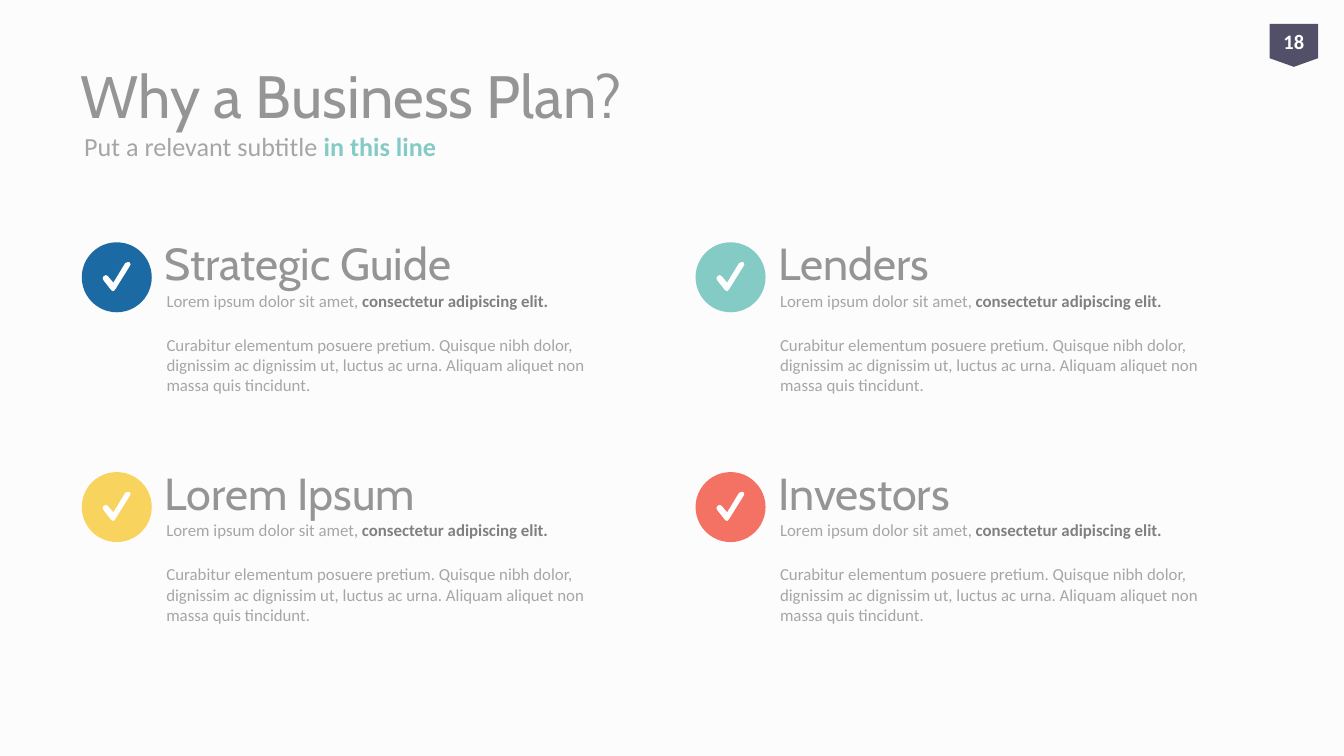
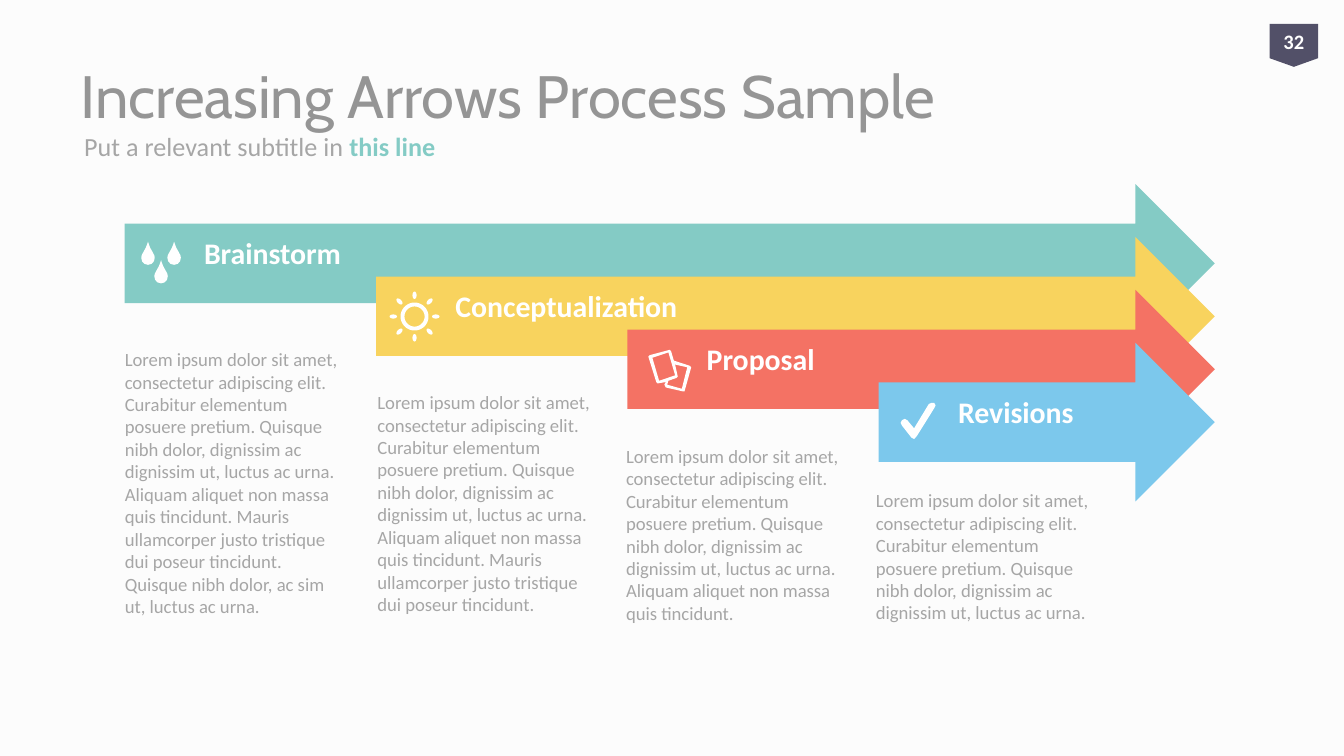
"""Build two slides: a business plan checklist and an increasing arrows process."""
from itertools import product
from math import cos, pi, sin

from lxml import etree
from pptx import Presentation
from pptx import util as u
from pptx.dml.color import RGBColor
from pptx.enum import shapes, text
from pptx.oxml import ns

theme = {
    "paper": "FCFCFC", "badge": "525068", "white": "FFFFFF", "navy": "1B6AA3",
    "teal": "84CBC5", "yellow": "F8D35E", "coral": "F47264", "sky": "7CC8EC",
    "title": ("959595", {"name": "Cabin", "size": u.Pt(32), "bold": False}),
    "heading": ("959595", {"name": "Cabin", "size": u.Pt(24), "bold": False}),
    "subtitle": ("A6A6A6", {"name": "Calibri", "size": u.Pt(14), "bold": False}),
    "accent": ("84CBC5", {"name": "Calibri", "size": u.Pt(14), "bold": True}),
    "body": ("A6A6A6", {"name": "Calibri", "size": u.Pt(9), "bold": False}),
    "strong": ("808080", {"name": "Calibri", "size": u.Pt(9), "bold": True}),
    "note": ("A6A6A6", {"name": "Calibri", "size": u.Pt(10), "bold": False}),
    "label": ("FFFFFF", {"name": "Calibri", "size": u.Pt(16), "bold": True}),
    "number": ("FFFFFF", {"name": "Calibri", "size": u.Pt(11), "bold": True}),
}
middle = {"vertical_anchor": text.MSO_ANCHOR.MIDDLE}


def write(box, paragraphs, frame_format={}, para_format={}):
    """Fill a box with paragraphs, each a list of (text, style name) pairs."""
    frame = box.text_frame
    settings = {"word_wrap": True, "auto_size": text.MSO_AUTO_SIZE.NONE, **frame_format}
    for key, value in settings.items():
        setattr(frame, key, value)
    for index, spans in enumerate(paragraphs):
        para = frame.add_paragraph() if index else frame.paragraphs[0]
        settings = {"alignment": text.PP_ALIGN.LEFT,
                    "space_before": u.Pt(12.7 if index else 0), **para_format}
        for key, value in settings.items():
            setattr(para, key, value)
        for words, style in spans:
            span = para.add_run()
            span.text = words
            color, font_format = theme[style]
            for key, value in font_format.items():
                setattr(span.font, key, value)
            span.font.color.rgb = RGBColor.from_string(color)


def add_form(page, form, color, left, top, width=0, height=0, size=1):
    """Add a flat preset shape, or an icon given as a list of contours in points."""
    if isinstance(form, list):
        contours = [[(x * 100, y * 100) for x, y in contour] for contour in form]
        builder = page.shapes.build_freeform(*contours[0][0], scale=u.Pt(1) * size / 100)
        for index, contour in enumerate(contours):
            if index:
                builder.move_to(*contour[0])
            builder.add_line_segments(contour[1:], close=True)
        shape = builder.convert_to_shape(u.Pt(left), u.Pt(top))
    else:
        shape = page.shapes.add_shape(form, u.Pt(left), u.Pt(top), u.Pt(width), u.Pt(height))
    shape.shadow.inherit = False
    shape.fill.solid()
    shape.fill.fore_color.rgb = RGBColor.from_string(theme[color])
    shape.line.fill.background()
    return shape


check = [[(7.2, 19.4), (5.8, 18.7), (0.7, 12.2), (0, 10.8), (0.7, 9.4), (2.2, 8.6), (3.6, 9.4),
          (7.2, 13.7), (15.1, 0.7), (16.6, 0), (18, 0), (18.7, 1.4), (18, 2.9), (8.6, 18)]]
drop_side = [(0, 0), (0.5, 1.5), (1.2, 3.3), (2.6, 5.8), (3.4, 7.3), (3.6, 8.6),
             (3.2, 10.5), (1.9, 11.9), (0, 12.4)]
drop = drop_side + [(-x, y) for x, y in drop_side[-2:0:-1]]
drops = [[(x + right, y + down) for x, y in drop] for right, down in [(0, 0), (14, 0), (7, 9.9)]]
circle = [(cos(step * pi / 18), sin(step * pi / 18)) for step in range(36)]
sun = [[(radius * x, radius * y) for x, y in circle] for radius in (7.5, 5.4)]
for turn in range(8):
    across, down = cos(turn * pi / 4), sin(turn * pi / 4)
    sun.append([((11.4 + 2 * x) * across - 1.1 * y * down,
                 (11.4 + 2 * x) * down + 1.1 * y * across) for x, y in circle])
cards = [
    [(22.3, 8.6), (13.7, 5.8), (12.2, 0.7), (11.5, 0), (0.7, 2.9), (0, 3.6), (4.3, 17.3), (5, 18),
     (9.4, 17.3), (8.6, 18.7), (9.4, 20.2), (18.7, 22.3), (19.4, 22.3), (23, 9.4)],
    [(2.2, 4.3), (10.8, 1.4), (14.4, 13.7), (5.8, 16.6)],
    [(18, 20.9), (10.1, 18.7), (10.8, 16.6), (15.1, 15.1), (15.8, 14.4), (14.4, 7.9), (20.9, 9.4)],
]

sentences = [
    "Lorem ipsum dolor sit amet, consectetur adipiscing elit.",
    "Curabitur elementum posuere pretium.",
    "Quisque nibh dolor, dignissim ac dignissim ut, luctus ac urna.",
    "Aliquam aliquet non massa quis tincidunt.",
    "Mauris ullamcorper justo tristique dui poseur tincidunt.",
    "Quisque nibh dolor, ac sim ut, luctus ac urna.",
]

deck = Presentation()
deck.slide_width, deck.slide_height = u.Pt(720), u.Pt(405)
paper = deck.slide_master.background.fill
paper.solid()
paper.fore_color.rgb = RGBColor.from_string(theme["paper"])

pages = []
for layout, number, title, lead, accent, title_width, subtitle_width in [
    (1, "18", "Why a Business Plan?", "Put a relevant subtitle ", "in this line", 648, 648),
    (5, "32", "Increasing Arrows Process Sample", "Put a relevant subtitle in ", "this line", 636, 250),
]:
    page = deck.slides.add_slide(deck.slide_layouts[layout])
    heading = page.shapes.title
    heading.left, heading.top = u.Pt(36), u.Pt(16.6)
    heading.width, heading.height = u.Pt(title_width), u.Pt(67.7)
    write(heading, [[(title, "title")]], middle)
    subtitle = page.shapes.add_textbox(u.Pt(38), u.Pt(64.1), u.Pt(subtitle_width), u.Pt(28.8))
    write(subtitle, [[(lead, "subtitle"), (accent, "accent")]], middle)
    badge = add_form(page, shapes.MSO_SHAPE.FLOWCHART_OFFPAGE_CONNECTOR, "badge", 680.2, 12.8, 25.9, 23)
    write(badge, [[(number, "number")]], {**middle, "margin_left": 0, "margin_right": 0,
                                        "margin_top": 0, "margin_bottom": 0},
          {"alignment": text.PP_ALIGN.CENTER})
    pages.append(page)
reasons_page, process_page = pages

reasons = [("Strategic Guide", "navy"), ("Lenders", "teal"),
           ("Lorem Ipsum", "yellow"), ("Investors", "coral")]
for (row, column), (name, color) in zip(product(range(2), repeat=2), reasons):
    left, top = 43.8 + 328.8 * column, 129.8 + 123.1 * row
    place = [u.Pt(left + 38.2), u.Pt(top + 22.2), u.Pt(238.3), u.Pt(62.6)]
    if row == column == 0:
        box = reasons_page.placeholders[1]
        box.left, box.top, box.width, box.height = place
    else:
        box = reasons_page.shapes.add_textbox(*place)
    write(box, [[("Lorem ipsum dolor sit amet, ", "body"), ("consectetur adipiscing elit.", "strong")],
                [(" ".join(sentences[1:4]), "body")]])
    if box.is_placeholder:
        for para in box.text_frame.paragraphs:
            props = para._p.get_or_add_pPr()
            props.set("marL", "0")
            props.set("indent", "0")
            etree.SubElement(props, ns.qn("a:buNone"))
    heading = reasons_page.shapes.add_textbox(u.Pt(left + 37.4), u.Pt(top - 10.2), u.Pt(226.8), u.Pt(41.8))
    write(heading, [[(name, "heading")]], middle)
    add_form(reasons_page, shapes.MSO_SHAPE.OVAL, color, left, top, 37.5, 37.5)
    add_form(reasons_page, check, "white", left + 11.2, top + 10.7, size=0.8)

steps = [
    ("Brainstorm", "teal", drops, 79.3, 129.5, 59.8, 182.9),
    ("Conceptualization", "yellow", sun, 222.1, 169.6, 195.1, 205.9),
    ("Proposal", "coral", cards, 347.3, 187.4, 328.3, 234.7),
    ("Revisions", "sky", check, 482.5, 215.8, 462.2, 258.5),
]
for index, (name, color, icon, icon_left, icon_top, note_left, note_top) in enumerate(steps):
    left, top = 66.8 + 134.65 * index, 98.6 + 28.35 * index
    width = 650.8 - left
    add_form(process_page, shapes.MSO_SHAPE.RIGHT_ARROW, color, left, top, width, 85)
    label = process_page.shapes.add_textbox(u.Pt(left), u.Pt(top + 21.2), u.Pt(width - 21), u.Pt(42.5))
    write(label, [[(name, "label")]],
          {**middle, "margin_left": u.Pt(42.5), "margin_top": u.Pt(5),
           "margin_right": u.Pt(20), "margin_bottom": u.Pt(13.7)}, {"line_spacing": 0.9})
    add_form(process_page, icon, "white", icon_left, icon_top)
    note = process_page.shapes.add_textbox(u.Pt(note_left), u.Pt(note_top), u.Pt(131.8), u.Pt(338.5 - note_top))
    write(note, [[(" ".join(sentences[:6 - index]), "note")]],
          {"auto_size": text.MSO_AUTO_SIZE.SHAPE_TO_FIT_TEXT})

deck.save("out.pptx")
